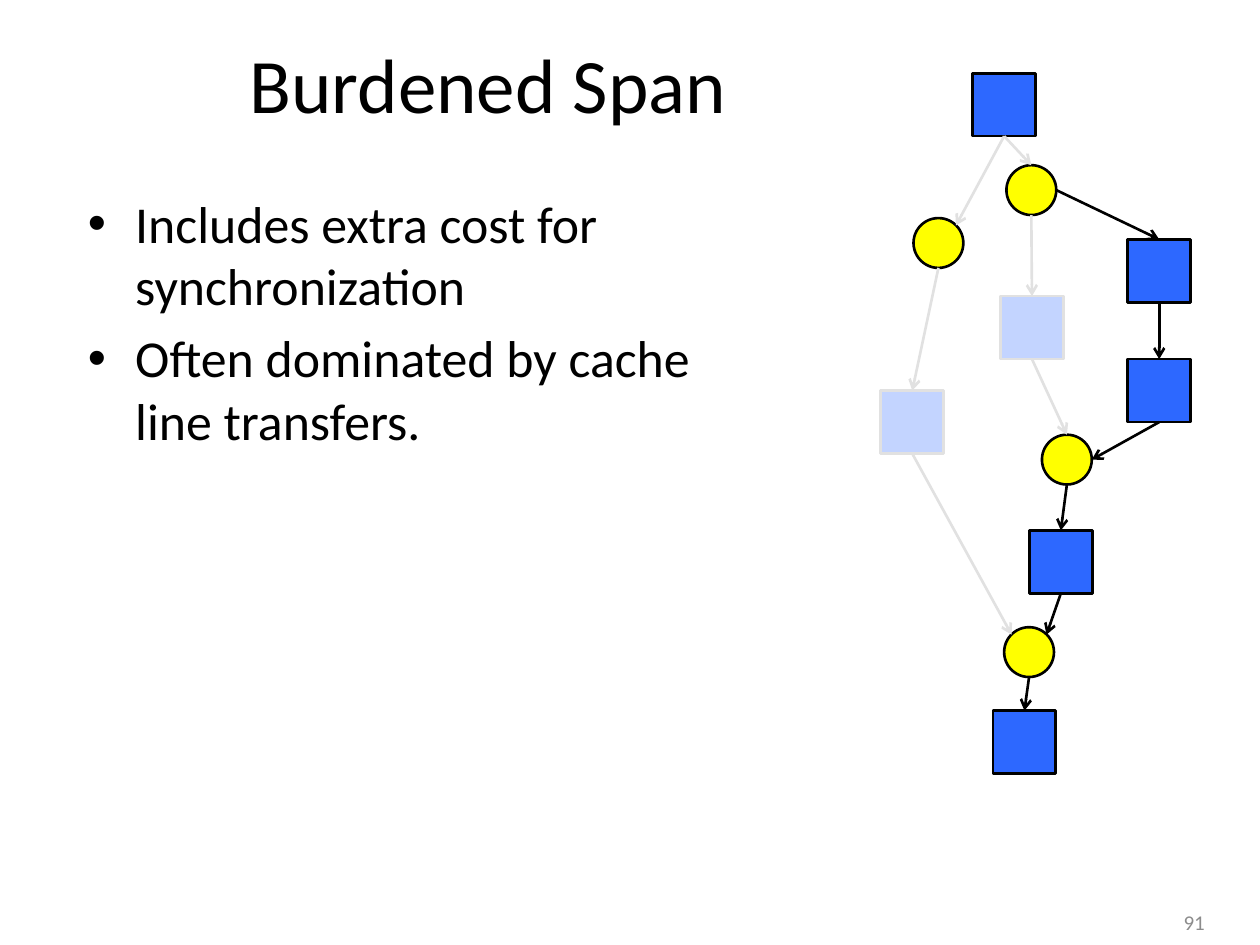
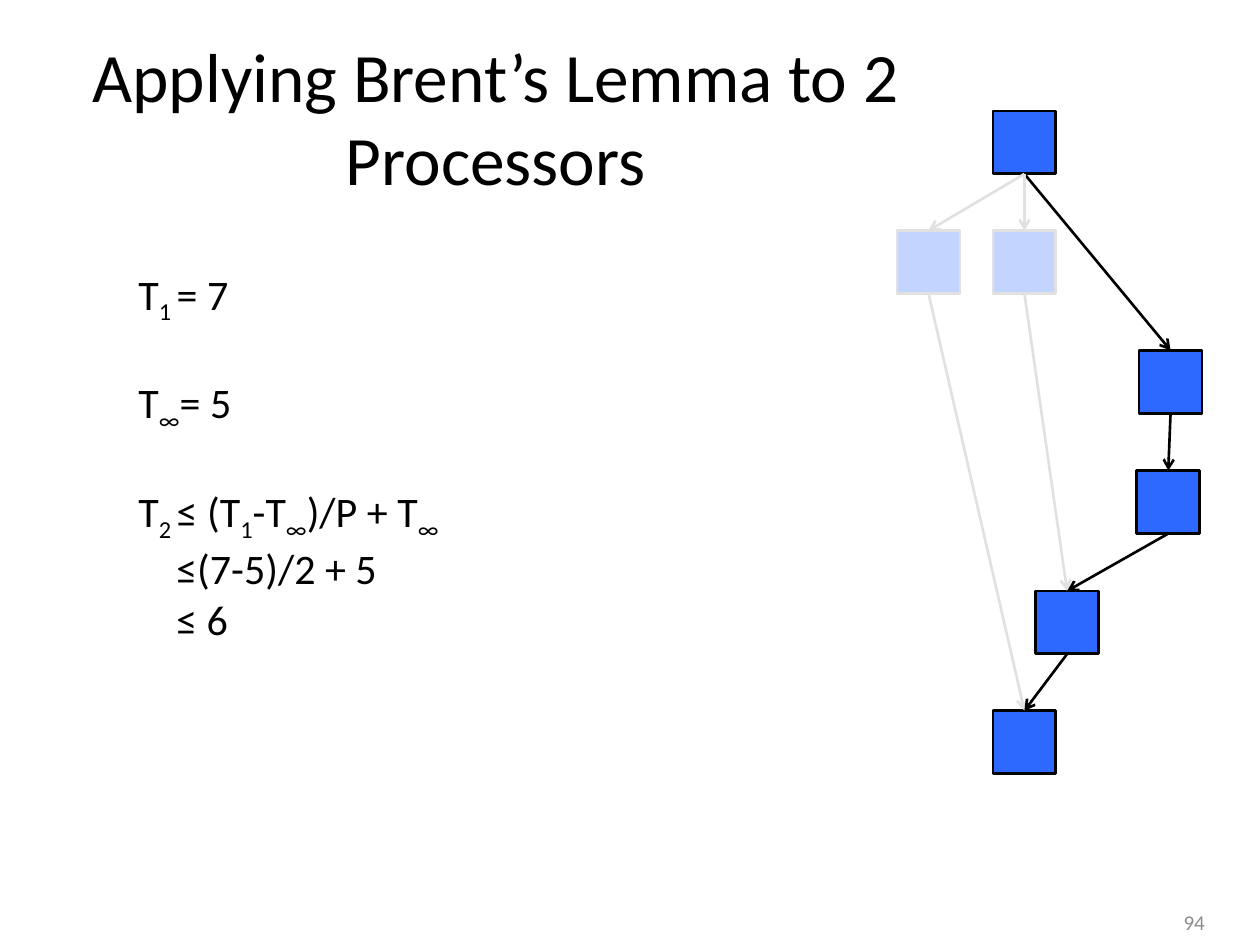
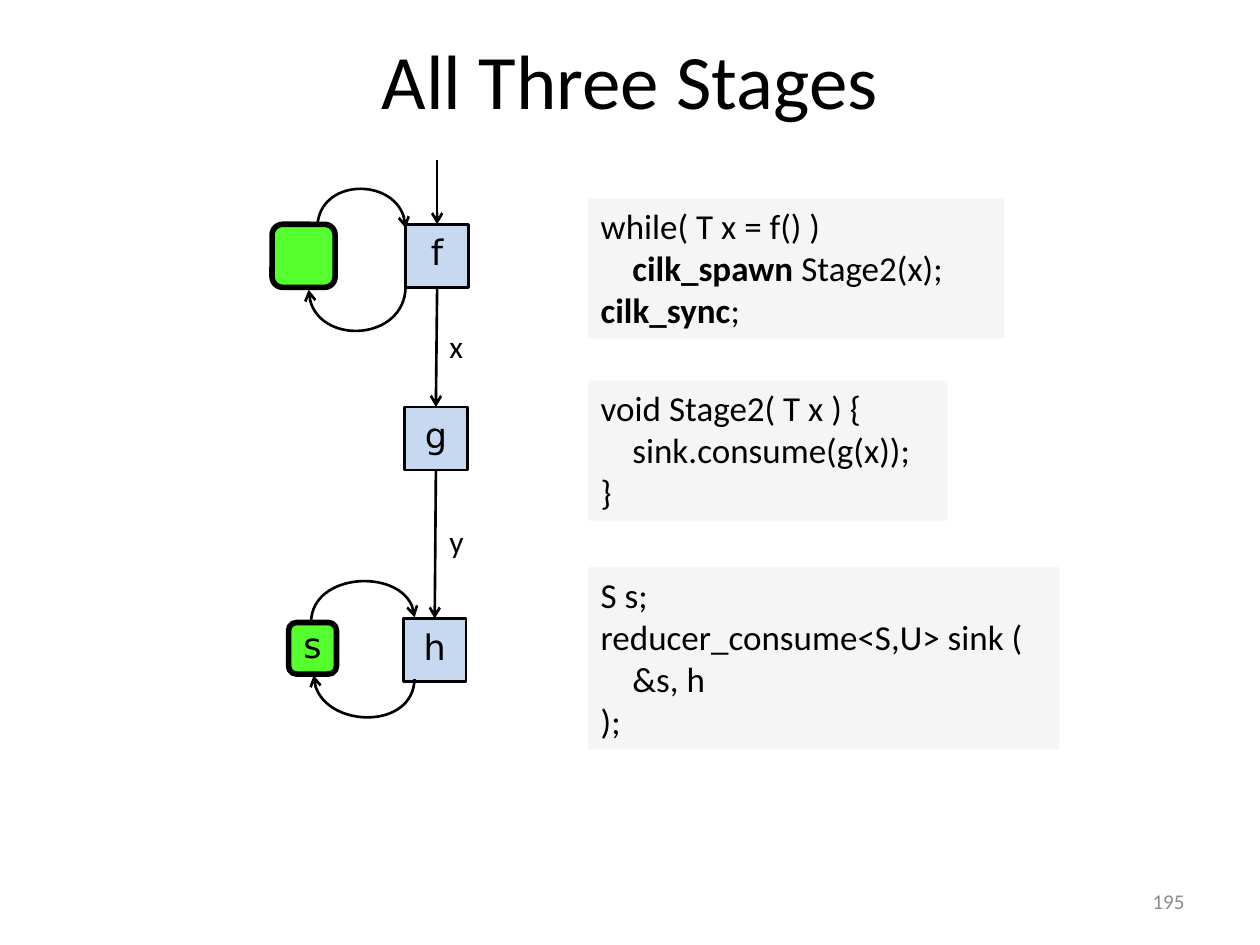
"""Build three slides on span, Brent's lemma and a pipeline of stages."""
from dataclasses import dataclass

from lxml import etree
from pptx import Presentation
from pptx.dml.color import RGBColor
from pptx.enum.shapes import MSO_CONNECTOR, MSO_SHAPE
from pptx.enum.text import MSO_ANCHOR, MSO_AUTO_SIZE, PP_ALIGN
from pptx.oxml.ns import qn
from pptx.util import Pt

RECTANGLE, ROUNDED, OVAL = MSO_SHAPE.RECTANGLE, MSO_SHAPE.ROUNDED_RECTANGLE, MSO_SHAPE.OVAL
STRAIGHT = MSO_CONNECTOR.STRAIGHT
TOP, MIDDLE = MSO_ANCHOR.TOP, MSO_ANCHOR.MIDDLE
LEFT, CENTER, RIGHT = PP_ALIGN.LEFT, PP_ALIGN.CENTER, PP_ALIGN.RIGHT
NO_FIT = MSO_AUTO_SIZE.NONE


@dataclass(frozen=True)
class Theme:
    black: RGBColor = RGBColor.from_string("000000")
    blue: RGBColor = RGBColor.from_string("2D68FF")
    pale_blue: RGBColor = RGBColor.from_string("C3D4FF")
    pale_line: RGBColor = RGBColor.from_string("E1E1E1")
    yellow: RGBColor = RGBColor.from_string("FFFF00")
    stage: RGBColor = RGBColor.from_string("C6D9F1")
    green: RGBColor = RGBColor.from_string("54FF2D")
    code_fill: RGBColor = RGBColor.from_string("F2F2F2")
    number: RGBColor = RGBColor.from_string("8C8C8C")
    font: str = "Calibri"
    stage_font: str = "DejaVu Sans"
    title_size: float = 44
    long_title_size: float = 39.6
    bullet_size: float = 29.6
    formula_size: float = 24
    code_size: float = 20
    label_size: float = 18
    number_size: float = 12
    arrow_width: float = 1.5
    box_width: float = 1.6
    state_width: float = 3.2


theme = Theme()
SQUARE, CIRCLE = 36, 28.5


def write_text(shape, rows, size, color=theme.black, font=theme.font, align=LEFT, anchor=TOP, wrap=True):
    """Write rows of (text, style) runs and return the paragraphs."""
    frame = shape.text_frame
    for name, value in {"word_wrap": wrap, "auto_size": NO_FIT, "vertical_anchor": anchor}.items():
        setattr(frame, name, value)
    for index, row in enumerate(rows):
        paragraph = frame.add_paragraph() if index else frame.paragraphs[0]
        paragraph.alignment = align
        for text, style in row:
            run = paragraph.add_run()
            run.text = text
            for name, value in {"name": font, "size": Pt(size), "bold": style == "bold"}.items():
                setattr(run.font, name, value)
            run.font.color.rgb = color
            if style == "sub":
                run._r.get_or_add_rPr().set("baseline", "-25000")
    return frame.paragraphs


def style_outline(shape, color=theme.black, width=theme.arrow_width, arrow=True):
    """Set the outline, drop the shadow and add an arrowhead if wanted."""
    shape.line.color.rgb = color
    shape.line.width = Pt(width)
    properties = shape._element.spPr
    if arrow:
        etree.SubElement(properties.find(qn("a:ln")), qn("a:tailEnd"), type="arrow")
    etree.SubElement(properties, qn("a:effectLst"))


presentation = Presentation()
presentation.slide_width, presentation.slide_height = Pt(720), Pt(540)

slides = []
for title, title_box, title_size, number, number_left, number_top in [
    ("Burdened Span", (35.3, 2.2, 487.4, 90), theme.title_size, "91", 527.8, 512.6),
    ("Applying Brent’s Lemma to 2 Processors", (36, 21.6, 494.6, 90), theme.long_title_size, "94", 527.8, 512.6),
    ("All Three Stages", (36, 0, 648, 90), theme.title_size, "195", 516.2, 500.4),
]:
    slide = presentation.slides.add_slide(presentation.slide_layouts[5])
    heading = slide.shapes.title
    heading.left, heading.top, heading.width, heading.height = map(Pt, title_box)
    write_text(heading, [[(title, "")]], title_size, align=CENTER, anchor=MIDDLE)
    number_box = slide.shapes.add_textbox(Pt(number_left), Pt(number_top), Pt(167.8), Pt(28.8))
    write_text(number_box, [[(number, "")]], theme.number_size, theme.number, align=RIGHT, anchor=MIDDLE)
    slides.append(slide)
span_slide, lemma_slide, stages_slide = slides

NODE_STYLES = {
    "work": (RECTANGLE, SQUARE, theme.blue, theme.black, theme.box_width),
    "pale": (RECTANGLE, SQUARE, theme.pale_blue, theme.pale_line, theme.box_width),
    "sync": (OVAL, CIRCLE, theme.yellow, theme.black, theme.arrow_width),
}
SITES = {
    "top": (0.5, 0), "left": (0, 0.5), "bottom": (0.5, 1), "right": (1, 0.5),
    "top left": (0.15, 0.15), "top right": (0.85, 0.15),
}
SIDES = ["top", "left", "bottom", "right"]
span_nodes = {
    "start": ("work", 555.8, 41.8), "right 1": ("work", 644.4, 136.8),
    "right 2": ("work", 644.4, 205.2), "join": ("work", 588.2, 303.1),
    "end": ("work", 567.4, 406.1), "middle": ("pale", 571.7, 169.2),
    "left": ("pale", 503.3, 223.2), "fork right": ("sync", 575.1, 94.4),
    "fork left": ("sync", 522, 124.6), "inner sync": ("sync", 595.4, 248.4),
    "outer sync": ("sync", 573.8, 358.4),
}
span_edges = [
    ("fork right", "right", "right 1", "top", theme.black),
    ("right 1", "bottom", "right 2", "top", theme.black),
    ("start", "bottom", "fork right", "top", theme.pale_line),
    ("middle", "bottom", "inner sync", "top", theme.pale_line),
    ("fork left", "bottom", "left", "top", theme.pale_line),
    ("left", "bottom", "outer sync", "top left", theme.pale_line),
    ("join", "bottom", "outer sync", "top right", theme.black),
    ("right 2", "bottom", "inner sync", "right", theme.black),
    ("outer sync", "bottom", "end", "top", theme.black),
    ("inner sync", "bottom", "join", "top", theme.black),
    ("fork right", "bottom", "middle", "top", theme.pale_line),
    ("start", "bottom", "fork left", "top right", theme.pale_line),
]
lemma_nodes = {
    "start": ("work", 567.4, 63.4), "right 1": ("work", 650.9, 200.2),
    "right 2": ("work", 649.6, 268.9), "join": ("work", 591.8, 337.7),
    "end": ("work", 567.4, 406.1), "middle": ("pale", 567.4, 131.8),
    "left": ("pale", 512.6, 131.8),
}
lemma_edges = [
    (begin, "bottom", end, "top", color) for begin, end, color in [
        ("start", "right 1", theme.black), ("right 1", "right 2", theme.black),
        ("middle", "join", theme.pale_line), ("start", "left", theme.pale_line),
        ("left", "end", theme.pale_line), ("join", "end", theme.black),
        ("right 2", "join", theme.black), ("start", "middle", theme.pale_line),
    ]
]
for slide, nodes, edges in [(span_slide, span_nodes, span_edges), (lemma_slide, lemma_nodes, lemma_edges)]:
    drawn = {}
    for name, (kind, left, top) in nodes.items():
        preset, size, fill, outline, width = NODE_STYLES[kind]
        node = slide.shapes.add_shape(preset, Pt(left), Pt(top), Pt(size), Pt(size))
        node.fill.solid()
        node.fill.fore_color.rgb = fill
        style_outline(node, outline, width, arrow=False)
        drawn[name] = node
    for begin, begin_site, end, end_site, color in edges:
        points = []
        for name, site in [(begin, begin_site), (end, end_site)]:
            node, (across, down) = drawn[name], SITES[site]
            points += [int(node.left + across * node.width), int(node.top + down * node.height)]
        edge = slide.shapes.add_connector(STRAIGHT, *points)
        if nodes[begin][0] != "sync":
            edge.begin_connect(drawn[begin], SIDES.index(begin_site))
        if nodes[end][0] != "sync":
            edge.end_connect(drawn[end], SIDES.index(end_site))
        style_outline(edge, color)

bullet_box = span_slide.shapes.add_textbox(Pt(43.2), Pt(105.8), Pt(384.5), Pt(134.6))
bullets = ["Includes extra cost for synchronization", "Often dominated by cache line transfers."]
bullet_rows = [[(text, "")] for text in bullets]
for index, paragraph in enumerate(write_text(bullet_box, bullet_rows, theme.bullet_size)):
    paragraph_properties = paragraph._p.get_or_add_pPr()
    paragraph_properties.set("marL", str(Pt(27)))
    paragraph_properties.set("indent", str(Pt(-27)))
    etree.SubElement(paragraph_properties, qn("a:buFont"), typeface="Arial")
    etree.SubElement(paragraph_properties, qn("a:buChar"), char="•")
    if index:
        paragraph.space_before = Pt(6)

formula_box = lemma_slide.shapes.add_textbox(Pt(72), Pt(149.8), Pt(338.4), Pt(211))
formulas = write_text(formula_box, [
    [("T", ""), ("1 ", "sub"), ("= 7", "")],
    [("T", ""), ("∞", "sub"), ("= 5", "")],
    [("T", ""), ("2 ", "sub"), ("≤ (T", ""), ("1", "sub"), ("-T", ""), ("∞", "sub"),
     (")/P + T", ""), ("∞", "sub")],
    [("≤(7-5)/2 + 5", "")],
    [("≤ 6", "")],
], theme.formula_size)
for paragraph in formulas[1:3]:
    paragraph.space_before = Pt(29.3)
for paragraph in formulas[3:]:
    paragraph._p.get_or_add_pPr().set("marL", str(Pt(21.7)))

stages = {}
for name, label, preset, box, fill, width in [
    ("f", "f", RECTANGLE, (231.8, 128.2, SQUARE, SQUARE), theme.stage, theme.box_width),
    ("g", "g", RECTANGLE, (231.1, 232.6, SQUARE, SQUARE), theme.stage, theme.box_width),
    ("h", "h", RECTANGLE, (230.4, 353.5, SQUARE, SQUARE), theme.stage, theme.box_width),
    ("source", "", ROUNDED, (155.5, 128.2, SQUARE, SQUARE), theme.green, theme.state_width),
    ("sink", "s", ROUNDED, (164.9, 355.7, 27.4, 29.5), theme.green, theme.state_width),
]:
    stage = stages_slide.shapes.add_shape(preset, *map(Pt, box))
    stage.fill.solid()
    stage.fill.fore_color.rgb = fill
    style_outline(stage, theme.black, width, arrow=False)
    if label:
        lines = write_text(stage, [[(label, "")]], theme.code_size, font=theme.stage_font,
                           align=CENTER, anchor=MIDDLE, wrap=False)
        lines[0].line_spacing = 0.8
    stages[name] = stage

for begin, end in [(None, "f"), ("f", "g"), ("g", "h")]:
    flow = stages_slide.shapes.add_connector(STRAIGHT, Pt(249.8), Pt(91.4), Pt(249.8), Pt(128.2))
    if begin:
        flow.begin_connect(stages[begin], 2)
    flow.end_connect(stages[end], 0)
    style_outline(flow)

for curve in [
    [(236.9, 388.1), (236.2, 416.9), (180, 416.2), (179.3, 385.9)],
    [(177.8, 355), (178.6, 327.6), (235.4, 324), (236.9, 352.8)],
    [(231.8, 164.2), (231.1, 194.4), (177.1, 198), (176.4, 165.6)],
    [(181.4, 129.6), (182.2, 102.2), (231.1, 100.8), (231.8, 130.3)],
]:
    start, *controls = [(Pt(x), Pt(y)) for x, y in curve]
    builder = stages_slide.shapes.build_freeform(*start)
    builder.add_line_segments(controls, close=False)
    loop = builder.convert_to_shape()
    outline_path = loop._element.spPr.find(".//" + qn("a:path"))
    bezier = etree.Element(qn("a:cubicBezTo"))
    for segment in outline_path.findall(qn("a:lnTo")):
        bezier.append(segment[0])
        outline_path.remove(segment)
    outline_path.append(bezier)
    loop.fill.background()
    style_outline(loop)

for label, top in [("x", 183.6), ("y", 294.5)]:
    label_box = stages_slide.shapes.add_textbox(Pt(249.8), Pt(top), Pt(48.2), Pt(28.8))
    write_text(label_box, [[(label, "")]], theme.label_size)

for top, width, height, code in [
    (113.5, 237.8, 80, [
        [("while( T x = f() )", "")],
        [("    ", ""), ("cilk_spawn", "bold"), (" Stage2(x);", "")],
        [("cilk_sync", "bold"), (";", "")],
    ]),
    (217.6, 205.2, 80, [
        [("void Stage2( T x ) {", "")], [("    sink.consume(g(x));", "")], [("}", "")],
    ]),
    (324, 269.3, 104.4, [
        [("S s;", "")], [("reducer_consume<S,U> sink (", "")], [("    &s, h", "")], [(");", "")],
    ]),
]:
    code_box = stages_slide.shapes.add_shape(RECTANGLE, Pt(336.2), Pt(top), Pt(width), Pt(height))
    code_box.shadow.inherit = False
    code_box.line.fill.background()
    code_box.fill.solid()
    code_box.fill.fore_color.rgb = theme.code_fill
    fill_color = code_box._element.spPr.find(qn("a:solidFill"))[0]
    etree.SubElement(fill_color, qn("a:alpha"), val="75000")
    write_text(code_box, code, theme.code_size)

presentation.save("out.pptx")
